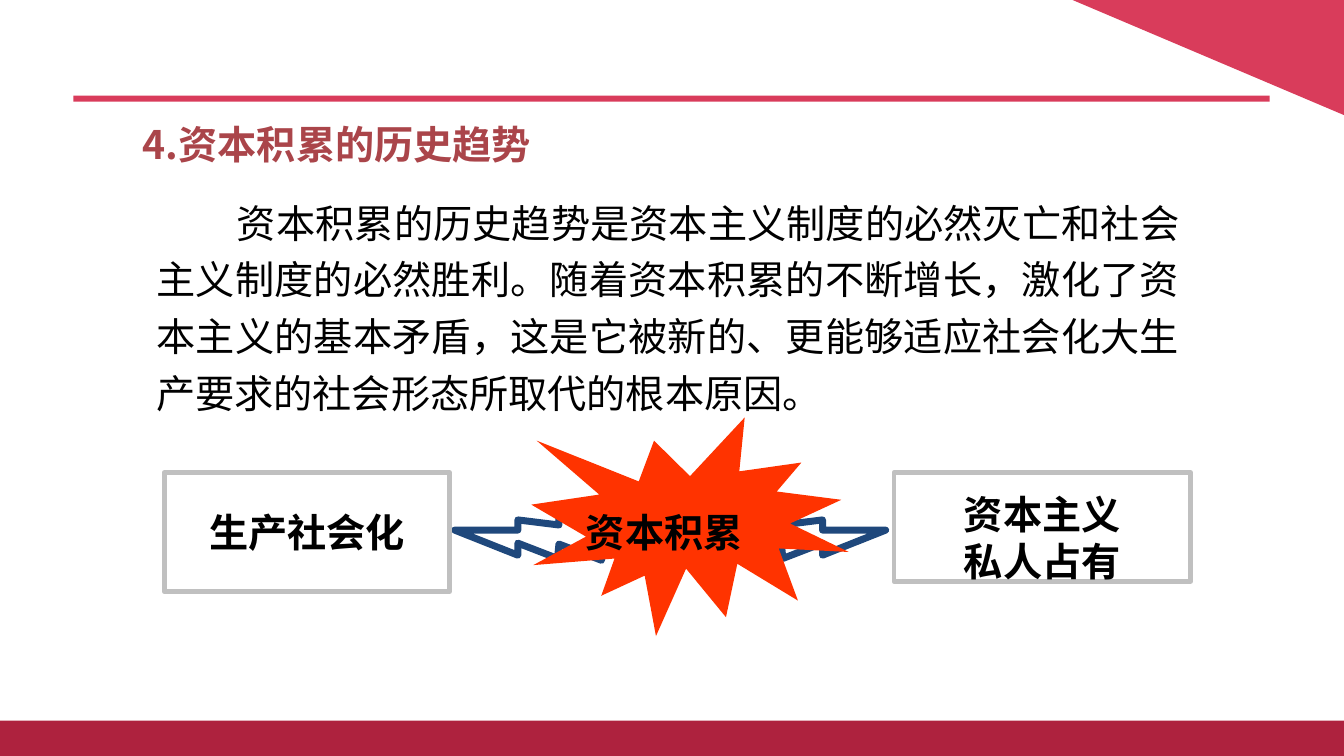
from pptx import Presentation
from pptx.dml.color import RGBColor
from pptx.enum.shapes import MSO_SHAPE as Form
from pptx.enum.text import MSO_ANCHOR as Anchor, PP_ALIGN as Align
from pptx.oxml.ns import qn
from pptx.util import Cm, Pt

HUES = {"rose": "D93C5B", "wine": "AE223E", "head": "AA454A", "ink": "000000",
        "grey": "C0C0C0", "navy": "1F487C", "fire": "FF3300", "white": "FFFFFF"}
SANS, BOLD = "Noto Sans CJK SC", "Noto Sans CJK TC"
BODY = ("资本积累的历史趋势是资本主义制度的必然灭亡和社会主义制度的必然胜利。"
        "随着资本积累的不断增长，激化了资本主义的基本矛盾，这是它被新的、"
        "更能够适应社会化大生产要求的社会形态所取代的根本原因。")
BOLT = [(100, 0), (71, 4), (71, 24), (43, 13), (43, 35), (0, 35),
        (43, 89), (43, 63), (70, 96), (71, 65), (100, 100)]


def hue(name):
    """Return the colour of that name."""
    return RGBColor.from_string(HUES[name])


def paint(shape, fill=None, line=None, width=0):
    """Set fill and line of a shape, without shadow."""
    shape.shadow.inherit = False
    if fill:
        shape.fill.solid()
        shape.fill.fore_color.rgb = hue(fill)
    else:
        shape.fill.background()
    if line:
        shape.line.color.rgb = hue(line)
        shape.line.width = Pt(width)
    else:
        shape.line.fill.background()
    return shape


def add_form(slide, form, box, **look):
    """Add a painted preset shape in the box."""
    return paint(slide.shapes.add_shape(form, *map(Cm, box)), **look)


def write(shape, text, face, color="ink", bold=True, align=Align.CENTER,
          pitch=33.6, anchor=Anchor.MIDDLE, top=0):
    """Write 28 point text into a shape."""
    frame = shape.text_frame
    frame.word_wrap = True
    frame.vertical_anchor = anchor
    frame.margin_left = frame.margin_right = frame.margin_bottom = 0
    frame.margin_top = Cm(top)
    frame.text = text
    for par in frame.paragraphs:
        par.alignment = align
        par.line_spacing = Pt(pitch)
        par.space_before = Pt(0)
        for run in par.runs:
            font = run.font
            font.size, font.bold, font.name = Pt(28), bold, face
            font.color.rgb = hue(color)
            east = run._r.get_or_add_rPr().makeelement(qn("a:ea"), {"typeface": face})
            font._element.find(qn("a:latin")).addnext(east)


def add_frame(slide):
    """Draw the rule, the foot band and the corner."""
    add_form(slide, Form.RECTANGLE, (1.85, 2.41, 30.15, 0.15), fill="rose")
    add_form(slide, Form.RECTANGLE, (0, 18.16, 33.87, 0.89), fill="wine")
    corner = add_form(slide, Form.RIGHT_TRIANGLE, (27.03, 0, 6.84, 2.9), fill="rose")
    corner.rotation = 180


def add_title(slide, box, text):
    """Place and write the title."""
    title = slide.shapes.title
    title.left, title.top, title.width, title.height = map(Cm, box)
    write(title, text, SANS, color="head", align=Align.LEFT)


def add_body(slide, box, text):
    """Add the justified paragraph."""
    area = slide.shapes.add_textbox(*map(Cm, box))
    write(area, text, SANS, bold=False, align=Align.JUSTIFY, pitch=40.4,
          anchor=Anchor.TOP)
    area.text_frame.paragraphs[0]._p.get_or_add_pPr().set("indent", str(Cm(2.03)))


def add_bolt(slide, box, flip=False):
    """Draw a jagged arrow, pointing left unless flipped."""
    left, top, wide, high = box
    spots = [(Cm(left + wide * (100 - x if flip else x) / 100),
              Cm(top + high * y / 100)) for x, y in BOLT]
    pen = slide.shapes.build_freeform(*spots[0])
    pen.add_line_segments(spots[1:], close=True)
    paint(pen.convert_to_shape(), fill="white", line="navy", width=5)


def add_clash(slide, box):
    """Draw the two sides and the burst between them."""
    left, top, wide, high = box
    add_bolt(slide, (left + 7.32, top + 2.43, 3.7, 1.17))
    add_bolt(slide, (left + 14.48, top + 2.43, 3.7, 1.17), flip=True)
    add_form(slide, Form.EXPLOSION1, (left + 9.25, top, 8, high), fill="fire")
    sides = [("生产社会化", 0, 7.19, 3, 0),
             ("资本主义\n私人占有", wide - 7.47, 7.47, 2.74, 0.5)]
    for text, gap, span, tall, inset in sides:
        side = add_form(slide, Form.RECTANGLE, (left + gap, top + 1.39, span, tall),
                        line="grey", width=3.5)
        write(side, text, BOLD, top=inset)
    label = slide.shapes.add_textbox(*map(Cm, (left + 10.1, top + 2.24, 5, 1.27)))
    write(label, "资本积累", BOLD)


def main():
    """Build and save the slide."""
    deck = Presentation()
    deck.slide_width, deck.slide_height = Cm(33.87), Cm(19.05)
    slide = deck.slides.add_slide(deck.slide_layouts[5])
    add_frame(slide)
    add_title(slide, (3.6, 3, 26, 1.27), "4.资本积累的历史趋势")
    add_body(slide, (3.94, 4.78, 25.8, 5.7), BODY)
    add_clash(slide, (4.14, 10.52, 25.86, 5.51))
    deck.save("out.pptx")


if __name__ == "__main__":
    main()
